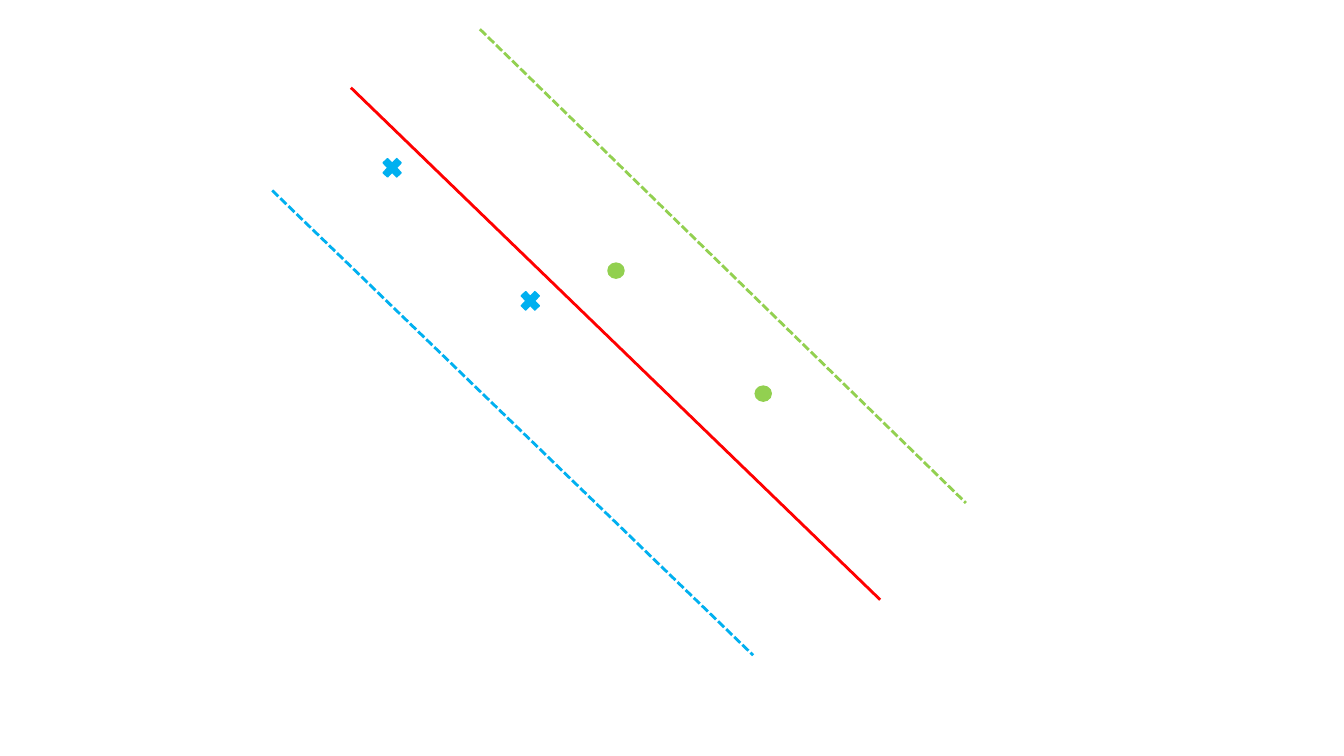
from pptx import Presentation
from pptx.dml.color import RGBColor
from pptx.enum.dml import MSO_LINE
from pptx.enum.shapes import MSO_CONNECTOR, MSO_SHAPE
from pptx.oxml.ns import qn
from pptx.util import Pt
from lxml.etree import SubElement

PX = 9144  # EMU per px, 100 px to the inch
RED = RGBColor(0xFF, 0x00, 0x00)
BLUE = RGBColor(0x00, 0xB0, 0xF0)
GREEN = RGBColor(0x92, 0xD0, 0x50)

presentation = Presentation()
presentation.slide_width = 1333 * PX
presentation.slide_height = 750 * PX
slide = presentation.slides.add_slide(presentation.slide_layouts[6])

# Separating line and its two dashed margins
boundaries = [
    (348, 87, 873, 595, RED, MSO_LINE.SOLID),
    (270, 189, 747, 650, BLUE, MSO_LINE.SQUARE_DOT),
    (476, 29, 958, 499, GREEN, MSO_LINE.SQUARE_DOT),
]
for x1, y1, x2, y2, color, dash in boundaries:
    connector = slide.shapes.add_connector(
        MSO_CONNECTOR.STRAIGHT, x1 * PX, y1 * PX, x2 * PX, y2 * PX)
    connector.line.color.rgb = color
    connector.line.width = Pt(2)
    connector.line.dash_style = dash
    SubElement(connector._element.spPr, qn("a:effectLst"))

# Data points of the two classes: green dots and blue crosses
point_classes = [
    (MSO_SHAPE.OVAL, GREEN, 16, 15, [(603, 261), (749, 383)]),
    (MSO_SHAPE.MATH_MULTIPLY, BLUE, 26, 27, [(513, 285), (376, 153)]),
]
for marker, color, width, height, positions in point_classes:
    for left, top in positions:
        shape = slide.shapes.add_shape(
            marker, left * PX, top * PX, width * PX, height * PX)
        shape.shadow.inherit = False
        shape.fill.solid()
        shape.fill.fore_color.rgb = color
        shape.line.color.rgb = color
        shape.line.width = Pt(1)

presentation.save("out.pptx")
